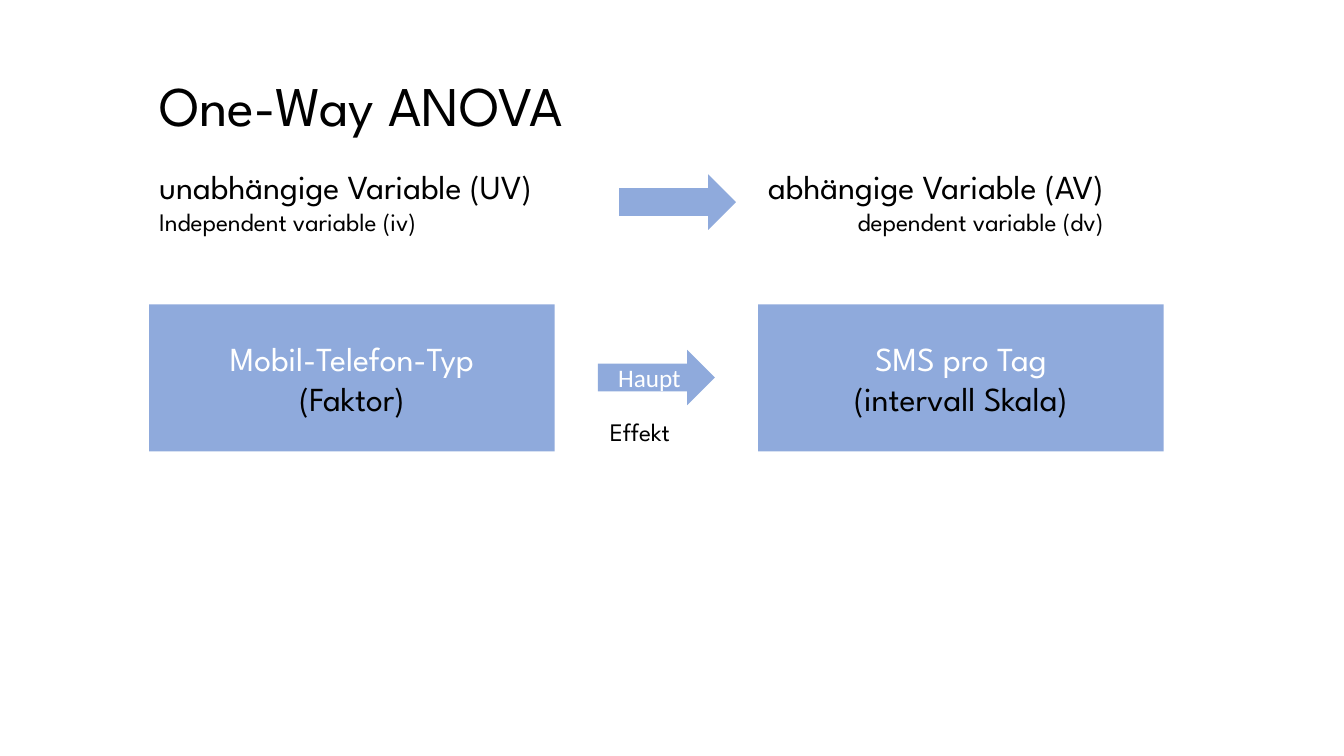
from pptx import Presentation
from pptx.dml.color import RGBColor
from pptx.enum.shapes import MSO_SHAPE
from pptx.enum.text import MSO_ANCHOR, MSO_AUTO_SIZE, PP_ALIGN
from pptx.util import Inches, Pt

RECT, ARROW = MSO_SHAPE.RECTANGLE, MSO_SHAPE.RIGHT_ARROW
MIDDLE, GROW = MSO_ANCHOR.MIDDLE, MSO_AUTO_SIZE.SHAPE_TO_FIT_TEXT
LEFT, CENTER, RIGHT = PP_ALIGN.LEFT, PP_ALIGN.CENTER, PP_ALIGN.RIGHT
COLORS = {name: RGBColor.from_string(code) for name, code in {
    "blue": "8FAADC", "white": "FFFFFF", "black": "000000"}.items()}
FONT = "League Spartan"
LEFT_X, RIGHT_X = 1.48, 7.52

deck = Presentation()
deck.slide_width, deck.slide_height = Inches(13.33), Inches(7.5)
slide = deck.slides.add_slide(deck.slide_layouts[6])


def add_label(x, y, w, h, lines):
    """Add an unwrapped text box; each line is (text, size, alignment)."""
    box = slide.shapes.add_textbox(*map(Inches, (x, y, w, h)))
    frame = box.text_frame
    frame.word_wrap = False
    frame.auto_size = GROW
    for i, (text, size, align) in enumerate(lines):
        para = frame.paragraphs[0] if i == 0 else frame.add_paragraph()
        para.text, para.alignment = text, align
        para.font.name, para.font.size = FONT, Pt(size)
        para.font.color.rgb = COLORS["black"]


def add_block(kind, x, y, w, h, lines=(), font=FONT, size=24):
    """Add a blue shape; each line of its text is (text, colour)."""
    block = slide.shapes.add_shape(kind, *map(Inches, (x, y, w, h)))
    block.shadow.inherit = False
    block.fill.solid()
    block.fill.fore_color.rgb = COLORS["blue"]
    block.line.fill.background()
    block.text_frame.vertical_anchor = MIDDLE
    para = block.text_frame.paragraphs[0]
    para.alignment = CENTER
    para.font.name, para.font.size = font, Pt(size)
    for i, (text, color) in enumerate(lines):
        if i:
            para.add_line_break()
        run = para.add_run()
        run.text = text
        run.font.color.rgb = COLORS[color]


# Title and the two kinds of variable
add_label(LEFT_X, 0.65, 4.96, 0.77, [("One-Way ANOVA", 40, LEFT)])
add_label(LEFT_X, 1.6, 4.44, 0.81, [
    ("unabhängige Variable (UV)", 24, LEFT),
    ("Independent variable (iv)", 18, LEFT)])
add_label(RIGHT_X, 1.6, 4.06, 0.81, [
    ("abhängige Variable (AV)", 24, LEFT),
    ("dependent variable (dv)", 18, RIGHT)])
add_block(ARROW, 6.14, 1.73, 1.16, 0.55)

# Example: factor, main effect, outcome
for x, name, role in [(LEFT_X, "Mobil-Telefon-Typ", "(Faktor)"),
                      (RIGHT_X, "SMS pro Tag", "(intervall Skala)")]:
    add_block(RECT, x, 3.02, 4.02, 1.46, [(name, "white"), (role, "black")])
add_block(ARROW, 5.93, 3.47, 1.16, 0.55, [("Haupt", "white")], "Calibri", 18)
add_label(5.95, 4.08, 0.84, 0.4, [("Effekt", 18, LEFT)])

deck.save("out.pptx")
